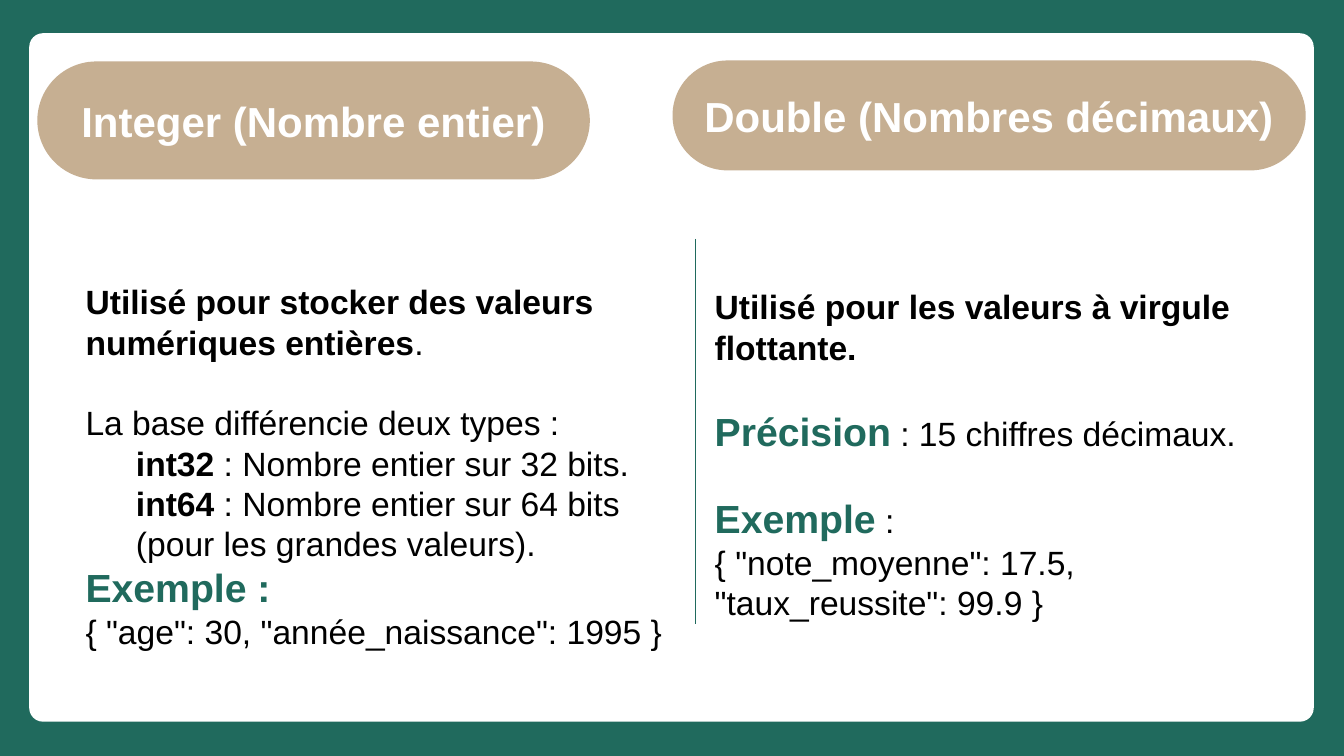
from lxml import etree
from pptx import Presentation
from pptx.dml.color import RGBColor
from pptx.enum.shapes import MSO_CONNECTOR, MSO_SHAPE
from pptx.enum.text import MSO_ANCHOR, MSO_AUTO_SIZE, PP_ALIGN
from pptx.oxml.ns import qn
from pptx.util import Inches, Pt

RECTANGLE = MSO_SHAPE.RECTANGLE
ROUNDED = MSO_SHAPE.ROUNDED_RECTANGLE
STRAIGHT = MSO_CONNECTOR.STRAIGHT
MIDDLE = MSO_ANCHOR.MIDDLE
CENTER = PP_ALIGN.CENTER
GROW = MSO_AUTO_SIZE.SHAPE_TO_FIT_TEXT

GREEN, TAN, WHITE, BLACK = "206A5D", "C6AF92", "FFFFFF", "000000"
PLAIN = (24, False, BLACK)
STRONG = (24, True, BLACK)
LABEL = (28, True, GREEN)
HEADING = (30, True, WHITE)
GAP = 28.8

INTEGER_NOTES = [
    (0, 0, [("Utilisé pour stocker des valeurs numériques entières", STRONG), (".", PLAIN)]),
    (GAP, 0, [("La base différencie deux types :", PLAIN)]),
    (0, 1, [("int32", STRONG), (" : Nombre entier sur 32 bits.", PLAIN)]),
    (0, 1, [("int64", STRONG), (" : Nombre entier sur 64 bits (pour les grandes valeurs).", PLAIN)]),
    (0, 0, [("Exemple :", LABEL)]),
    (0, 0, [('{ "age": 30, "année_naissance": 1995 }', PLAIN)]),
]
DOUBLE_NOTES = [
    (0, 0, [("Utilisé pour les valeurs à virgule flottante.", STRONG)]),
    (GAP, 0, [("Précision", LABEL), (" : 15 chiffres décimaux.", PLAIN)]),
    (GAP, 0, [("Exemple", LABEL), (" :", PLAIN)]),
    (0, 0, [('{ "note_moyenne": 17.5, "taux_reussite": 99.9 }', PLAIN)]),
]


def color(value):
    return RGBColor.from_string(value)


def style_run(run, style):
    size, bold, text_color = style
    run.font.name = "Arial"
    run.font.size = Pt(size)
    run.font.bold = bold
    run.font.color.rgb = color(text_color)


def add_panel(slide, preset, box, fill, corner=None):
    panel = slide.shapes.add_shape(preset, *map(Inches, box))
    panel.shadow.inherit = False
    panel.fill.solid()
    panel.fill.fore_color.rgb = color(fill)
    panel.line.fill.background()
    if corner is not None:
        panel.adjustments[0] = corner
    return panel


def add_heading(slide, box, text):
    frame = add_panel(slide, ROUNDED, box, TAN, 0.5).text_frame
    frame.word_wrap = True
    frame.vertical_anchor = MIDDLE
    frame.text = text
    paragraph = frame.paragraphs[0]
    paragraph.alignment = CENTER
    style_run(paragraph.runs[0], HEADING)


def add_notes(slide, box, notes):
    frame = slide.shapes.add_textbox(*map(Inches, box)).text_frame
    frame.word_wrap = True
    frame.auto_size = GROW
    for index, (space, level, pieces) in enumerate(notes):
        paragraph = frame.add_paragraph() if index else frame.paragraphs[0]
        paragraph.space_before = Pt(space)
        paragraph.level = level
        properties = paragraph._p.get_or_add_pPr()
        properties.set("marL", str(Inches(0.5 * level)))
        properties.set("indent", "0")
        for text, style in pieces:
            run = paragraph.add_run()
            run.text = text
            style_run(run, style)


def add_divider(slide, x, top, bottom):
    divider = slide.shapes.add_connector(
        STRAIGHT, Inches(x), Inches(top), Inches(x), Inches(bottom))
    divider.line.color.rgb = color(GREEN)
    divider.line.width = Pt(0.5)
    etree.SubElement(divider._element.spPr, qn("a:effectLst"))


def main():
    deck = Presentation()
    deck.slide_width, deck.slide_height = Inches(13.33), Inches(7.5)
    slide = deck.slides.add_slide(deck.slide_layouts[6])
    add_panel(slide, RECTANGLE, (0, 0, 13.33, 7.5), GREEN)
    add_panel(slide, ROUNDED, (0.29, 0.33, 12.74, 6.83), WHITE, 0.02)
    add_notes(slide, (6.99, 2.79, 5.88, 3.47), DOUBLE_NOTES)
    add_divider(slide, 6.9, 2.37, 6.19)
    add_notes(slide, (0.75, 2.74, 6.01, 3.8), INTEGER_NOTES)
    add_heading(slide, (0.37, 0.61, 5.48, 1.17), "Integer (Nombre entier)")
    add_heading(slide, (6.67, 0.6, 6.28, 1.09), "Double (Nombres décimaux)")
    deck.save("out.pptx")


if __name__ == "__main__":
    main()
